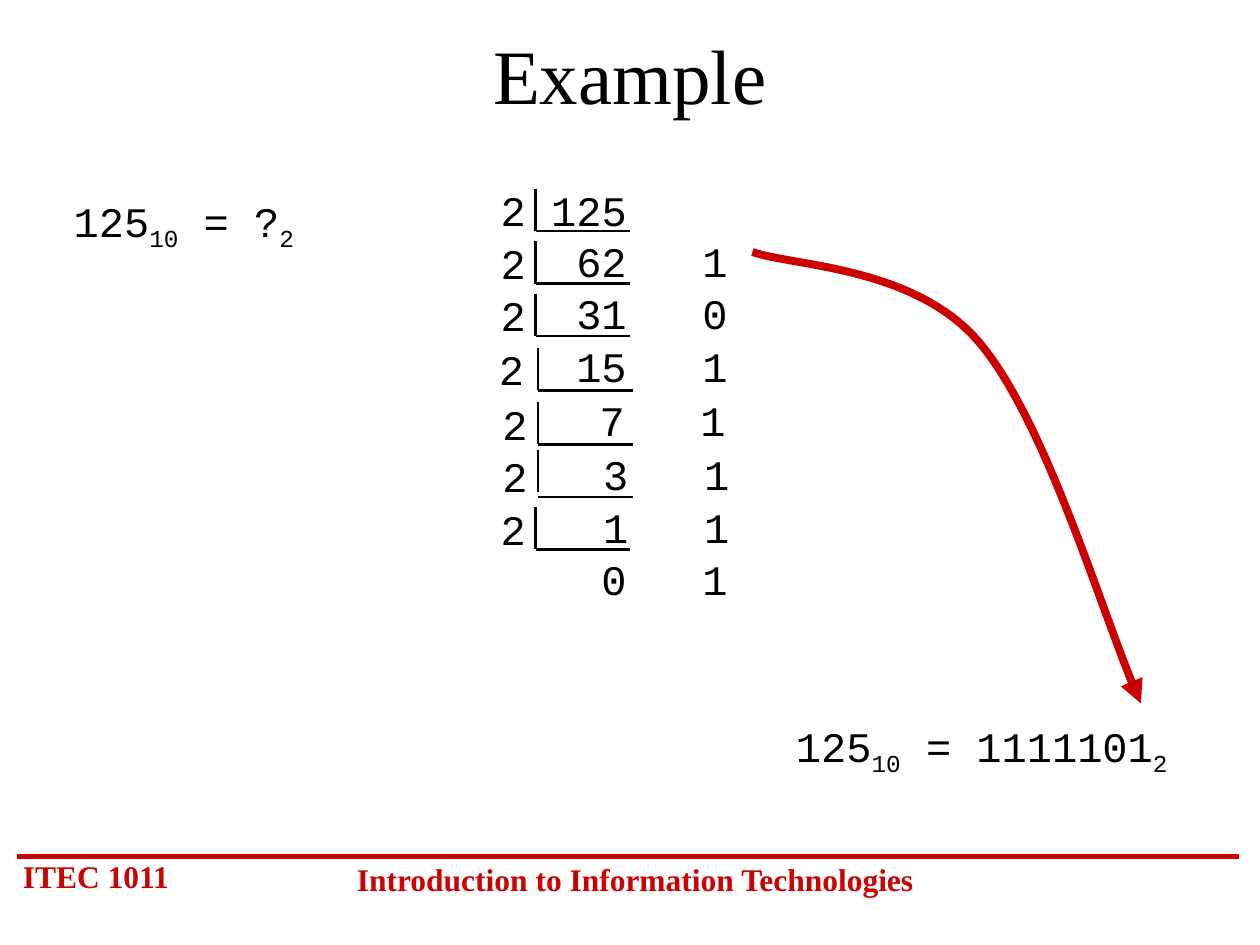
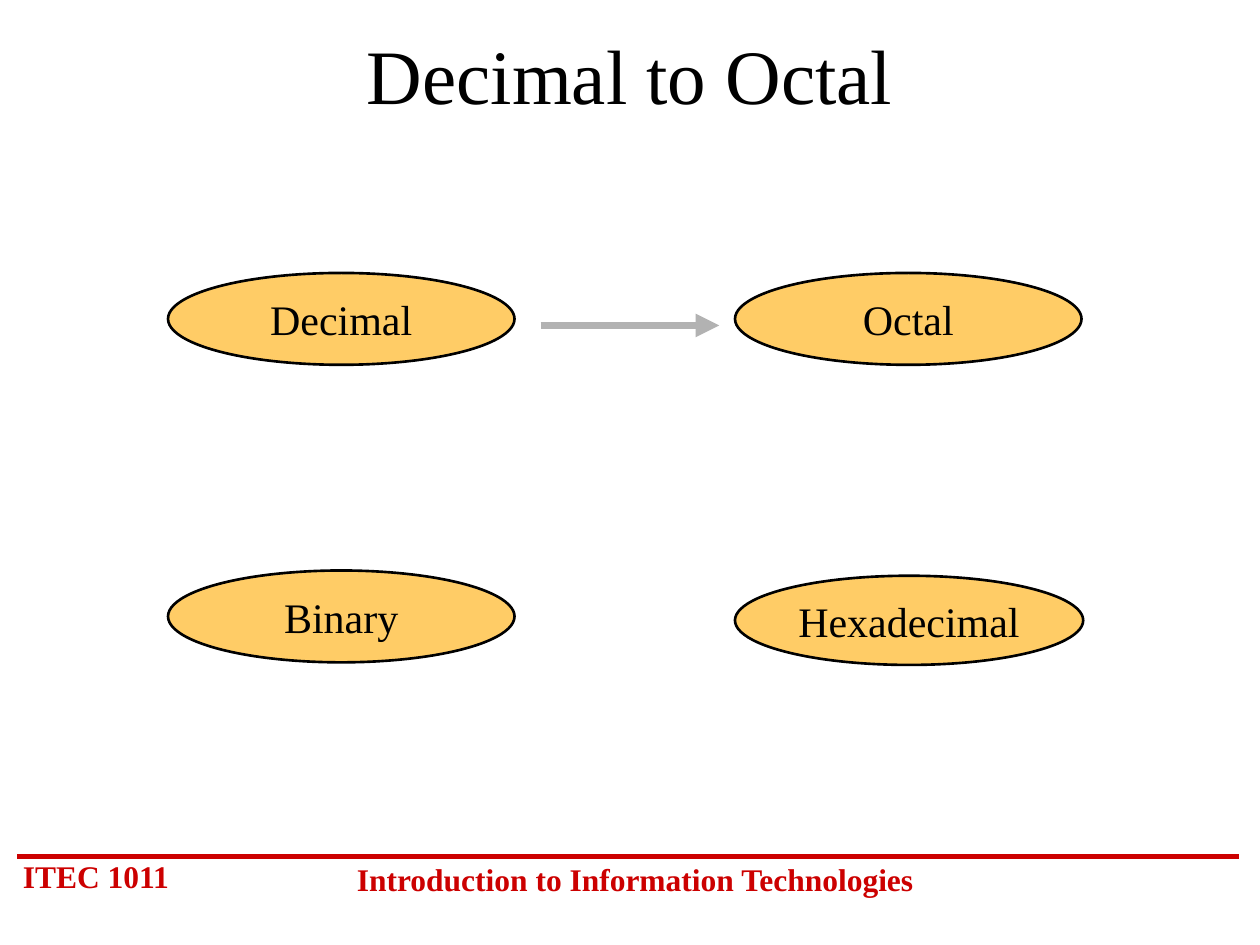
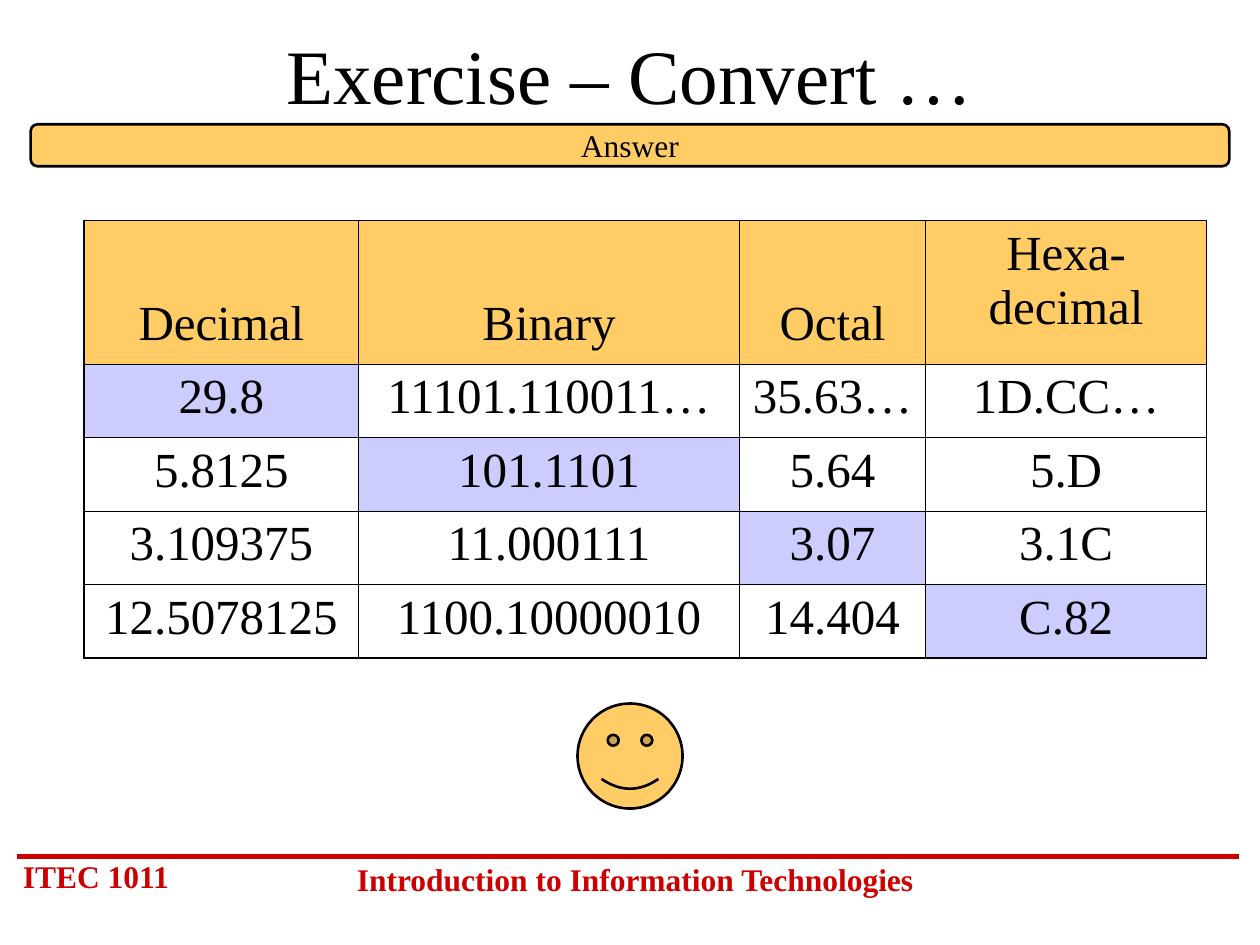
from dataclasses import dataclass

from lxml import etree
from pptx import Presentation
from pptx.dml.color import RGBColor
from pptx.enum import shapes, text
from pptx.oxml import ns
from pptx.util import Pt


@dataclass(frozen=True)
class Theme:
    black: RGBColor = RGBColor(0x00, 0x00, 0x00)
    red: RGBColor = RGBColor(0xCC, 0x00, 0x00)
    gold: RGBColor = RGBColor(0xFF, 0xCC, 0x66)
    lilac: RGBColor = RGBColor(0xCC, 0xCC, 0xFF)
    grey: RGBColor = RGBColor(0xB2, 0xB2, 0xB2)
    serif: str = "Times New Roman"
    mono: str = "Courier New"
    title: int = 44
    table: int = 28
    body: int = 24
    small: int = 18
    outline: float = 1.5
    rule: float = 3
    arrow: float = 4.5
    outer_border: float = 1.08
    inner_border: float = 0.45


T = Theme()
CHAR = T.body * 0.6
CENTER = text.PP_ALIGN.CENTER
LEFT = text.PP_ALIGN.LEFT


def child(parent, tag, **attrs):
    return etree.SubElement(parent, ns.qn(tag), **attrs)


def place(sp, left, top, width, height):
    sp.left, sp.top, sp.width, sp.height = map(Pt, (left, top, width, height))


def style_paragraph(p, size, name=T.serif, color=T.black, bold=False, align=CENTER):
    p.alignment = align
    p.font.size = Pt(size)
    p.font.name = name
    p.font.bold = bold
    p.font.color.rgb = color


def add_text(slide, box, content, size, **style):
    sp = slide.shapes.add_textbox(*map(Pt, box))
    sp.text_frame.word_wrap = True
    p = sp.text_frame.paragraphs[0]
    p.text = content
    style_paragraph(p, size, **style)
    return p


def add_arrowhead(sp):
    child(sp.element.spPr.find(ns.qn("a:ln")), "a:tailEnd", type="triangle")


def add_line(slide, start, end, color=T.black, width=T.outline):
    c = slide.shapes.add_connector(
        shapes.MSO_CONNECTOR.STRAIGHT, *map(Pt, (*start, *end)))
    c.line.color.rgb = color
    c.line.width = Pt(width)
    child(c.element.spPr, "a:effectLst")
    return c


def add_gold_shape(slide, kind, box, label="", size=T.body, wrap=False):
    sp = slide.shapes.add_shape(kind, *map(Pt, box))
    sp.shadow.inherit = False
    sp.fill.solid()
    sp.fill.fore_color.rgb = T.gold
    sp.line.color.rgb = T.black
    sp.line.width = Pt(T.outline)
    if label:
        tf = sp.text_frame
        tf.word_wrap = wrap
        tf.vertical_anchor = text.MSO_ANCHOR.MIDDLE
        tf.paragraphs[0].text = label
        style_paragraph(tf.paragraphs[0], size)
    return sp


def add_titled_slide(prs, title):
    slide = prs.slides.add_slide(prs.slide_layouts[5])
    sp = slide.shapes.title
    place(sp, 54, 12, 612, 60)
    tf = sp.text_frame
    tf.auto_size = text.MSO_AUTO_SIZE.NONE
    tf.vertical_anchor = text.MSO_ANCHOR.MIDDLE
    tf.text = title
    style_paragraph(tf.paragraphs[0], T.title)
    return slide


def move_footer_to_master(prs, slide):
    first = len(slide.shapes)
    add_line(slide, (10, 489.5), (708, 489.5), T.red, T.rule)
    add_text(slide, (6, 486, 108, 29), "ITEC 1011", T.small,
             color=T.red, bold=True, align=LEFT)
    add_text(slide, (192, 488, 342, 29), "Introduction to Information Technologies",
             T.small, color=T.red, bold=True)
    for sp in list(slide.shapes)[first:]:
        prs.slide_master.shapes.element.append(sp.element)


def add_equation(slide, box, parts):
    p = add_text(slide, box, "", T.body, name=T.mono)
    for content, subscript in parts:
        r = p.add_run()
        r.text = content
        if subscript:
            r.font.size = Pt(T.body)
            r._r.get_or_add_rPr().set("baseline", "-25000")


def add_division_step(slide, left, top, corner, rise, dividend, quotient, remainder):
    first_line = f"2 {dividend}" if dividend else "2"
    p = add_text(slide, (left, top, 162, 65), f"{first_line}\v\t{quotient}\t{remainder}",
                 T.body, name=T.mono, align=LEFT)
    tabs = etree.Element(ns.qn("a:tabLst"))
    for column in (5, 9):
        child(tabs, "a:tab", pos=str(Pt(column * CHAR)), algn="r")
    p._p.get_or_add_pPr().insert(0, tabs)
    add_line(slide, (corner, top + 6 - rise), (corner, top + 30 - rise))
    add_line(slide, (corner, top + 30), (corner + 54, top + 30))


def add_curved_arrow(slide, points):
    builder = slide.shapes.build_freeform(*points[0], scale=Pt(1))
    builder.add_line_segments(points[1:], close=False)
    sp = builder.convert_to_shape()
    outline = next(sp.element.iter(ns.qn("a:path")))
    segments = outline.findall(ns.qn("a:lnTo"))
    for i in range(0, len(segments), 3):
        curve = child(outline, "a:cubicBezTo")
        for segment in segments[i:i + 3]:
            curve.append(segment[0])
            outline.remove(segment)
    sp.shadow.inherit = False
    sp.fill.background()
    sp.line.color.rgb = T.red
    sp.line.width = Pt(T.arrow)
    add_arrowhead(sp)


def set_borders(cell, edges):
    tc_pr = cell._tc.get_or_add_tcPr()
    for side, is_outer in edges.items():
        width = T.outer_border if is_outer else T.inner_border
        ln = child(tc_pr, f"a:ln{side}", w=str(Pt(width)))
        child(child(ln, "a:solidFill"), "a:srgbClr", val=str(T.black))


def add_conversion_table(slide, left, top, widths, heights, rows):
    frame = slide.shapes.add_table(
        len(rows), len(widths),
        *map(Pt, (left, top, sum(widths), sum(heights))))
    table = frame.table
    table.first_row = table.horz_banding = False
    for column, width in zip(table.columns, widths):
        column.width = Pt(width)
    for row, height in zip(table.rows, heights):
        row.height = Pt(height)
    last_row, last_col = len(rows) - 1, len(widths) - 1
    for i, row in enumerate(rows):
        for j, content in enumerate(row):
            cell = table.cell(i, j)
            set_borders(cell, {"L": j == 0, "R": j == last_col,
                               "T": i == 0, "B": i == last_row})
            p = cell.text_frame.paragraphs[0]
            p.text = content
            style_paragraph(p, T.table)
            if i == 0 or i == j + 1:
                cell.fill.solid()
                cell.fill.fore_color.rgb = T.lilac if i else T.gold
            else:
                cell.fill.background()
            if i == 0 and j < last_col:
                cell.vertical_anchor = text.MSO_ANCHOR.BOTTOM
                cell.margin_bottom = Pt(7.2)


def build_example(slide):
    add_equation(slide, (24, 108, 162, 40),
                 [("125", False), ("10", True), (" = ?", False), ("2", True)])
    steps = [
        (279, 102, 306, 0, 125, 62, 1),
        (279, 132, 306, 0, "", 31, 0),
        (279, 162, 306, 0, "", 15, 1),
        (278, 193, 307.5, 0, "", 7, 1),
        (280, 224, 307.5, 0, "", 3, 1),
        (280, 254, 307.5, 3, "", 1, 1),
        (279, 284, 306, 0, "", 0, 1),
    ]
    for step in steps:
        add_division_step(slide, *step)
    add_equation(slide, (432, 408, 258, 40),
                 [("125", False), ("10", True), (" = 1111101", False), ("2", True)])
    add_curved_arrow(slide, [(430, 144), (451.5, 152.5), (522, 152), (559, 195),
                             (596, 238), (632, 358.5), (651.5, 402)])


def build_octal(slide):
    bases = [
        ("Hexadecimal", (420, 329, 199, 51)),
        ("Decimal", (96, 156, 198, 52.5)),
        ("Octal", (420, 156, 198, 52.5)),
        ("Binary", (96, 326, 198, 52.5)),
    ]
    for label, box in bases:
        add_gold_shape(slide, shapes.MSO_SHAPE.OVAL, box, label)
    add_arrowhead(add_line(slide, (309, 186), (411, 186), T.grey, T.arrow))


def build_exercise(slide):
    add_conversion_table(
        slide, 48, 126, (157, 217.5, 106.5, 160.5), (82, 42, 42, 42, 42),
        [
            ("Decimal", "Binary", "Octal", "Hexa-\vdecimal"),
            ("29.8", "11101.110011…", "35.63…", "1D.CC…"),
            ("5.8125", "101.1101", "5.64", "5.D"),
            ("3.109375", "11.000111", "3.07", "3.1C"),
            ("12.5078125", "1100.10000010", "14.404", "C.82"),
        ])
    add_gold_shape(slide, shapes.MSO_SHAPE.SMILEY_FACE, (330, 402, 60, 60))
    answer = add_gold_shape(slide, shapes.MSO_SHAPE.ROUNDED_RECTANGLE,
                            (17.5, 71, 685, 24), "Answer", T.small, wrap=True)
    answer.text_frame.margin_top = answer.text_frame.margin_bottom = 0


def main():
    prs = Presentation()
    prs.slide_width, prs.slide_height = Pt(720), Pt(540)
    example = add_titled_slide(prs, "Example")
    move_footer_to_master(prs, example)
    build_example(example)
    build_octal(add_titled_slide(prs, "Decimal to Octal"))
    build_exercise(add_titled_slide(prs, "Exercise – Convert …"))
    prs.save("out.pptx")


if __name__ == "__main__":
    main()
